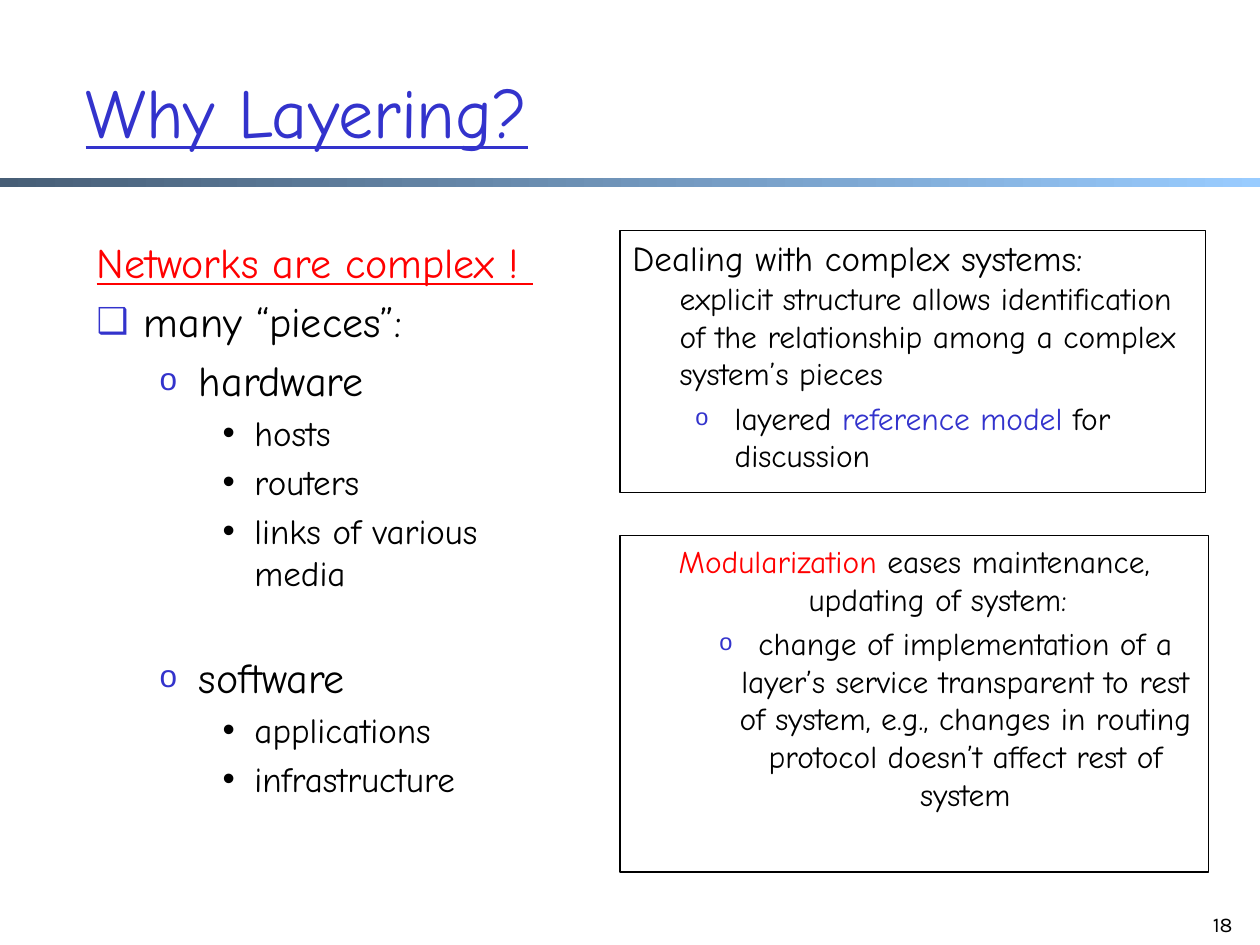
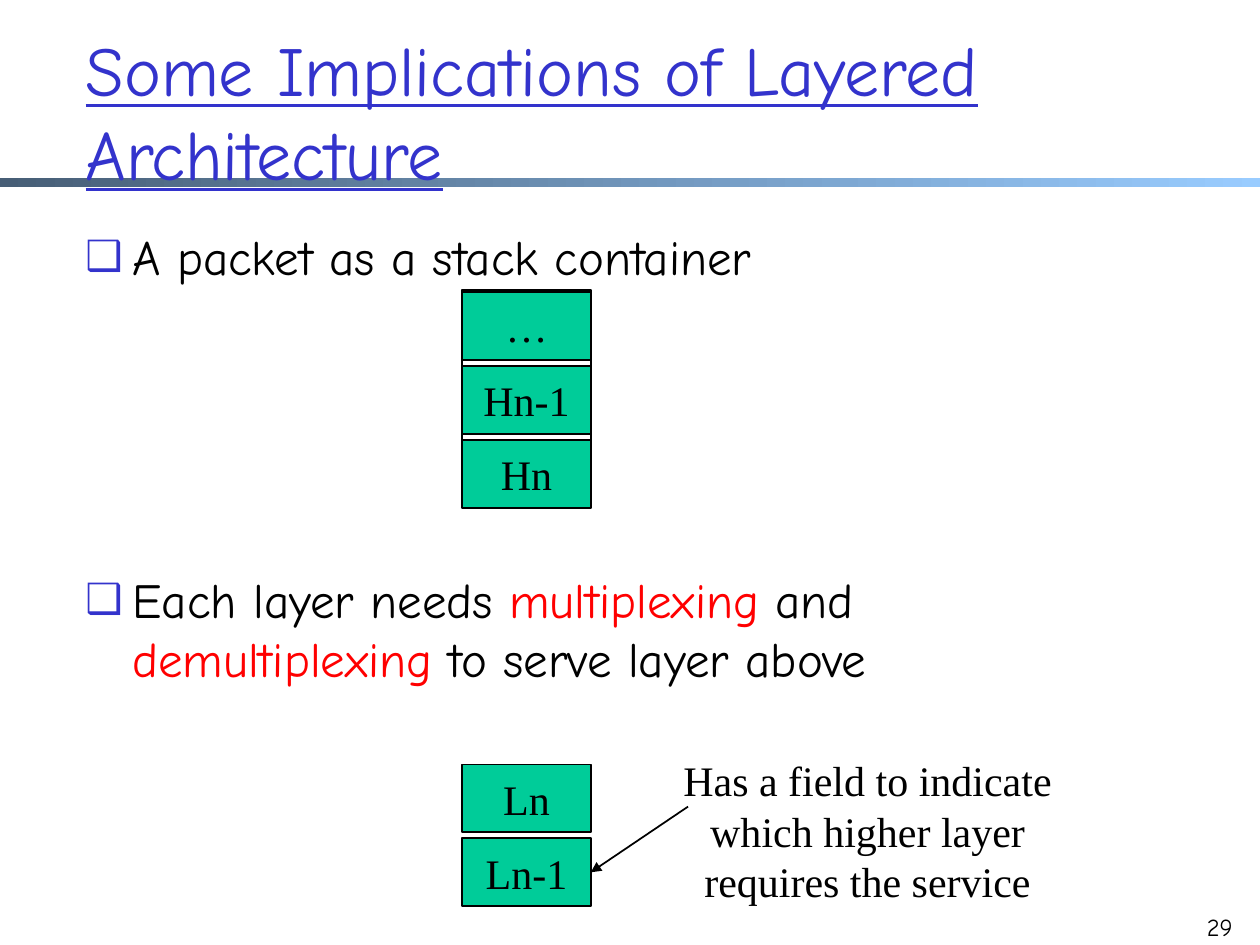
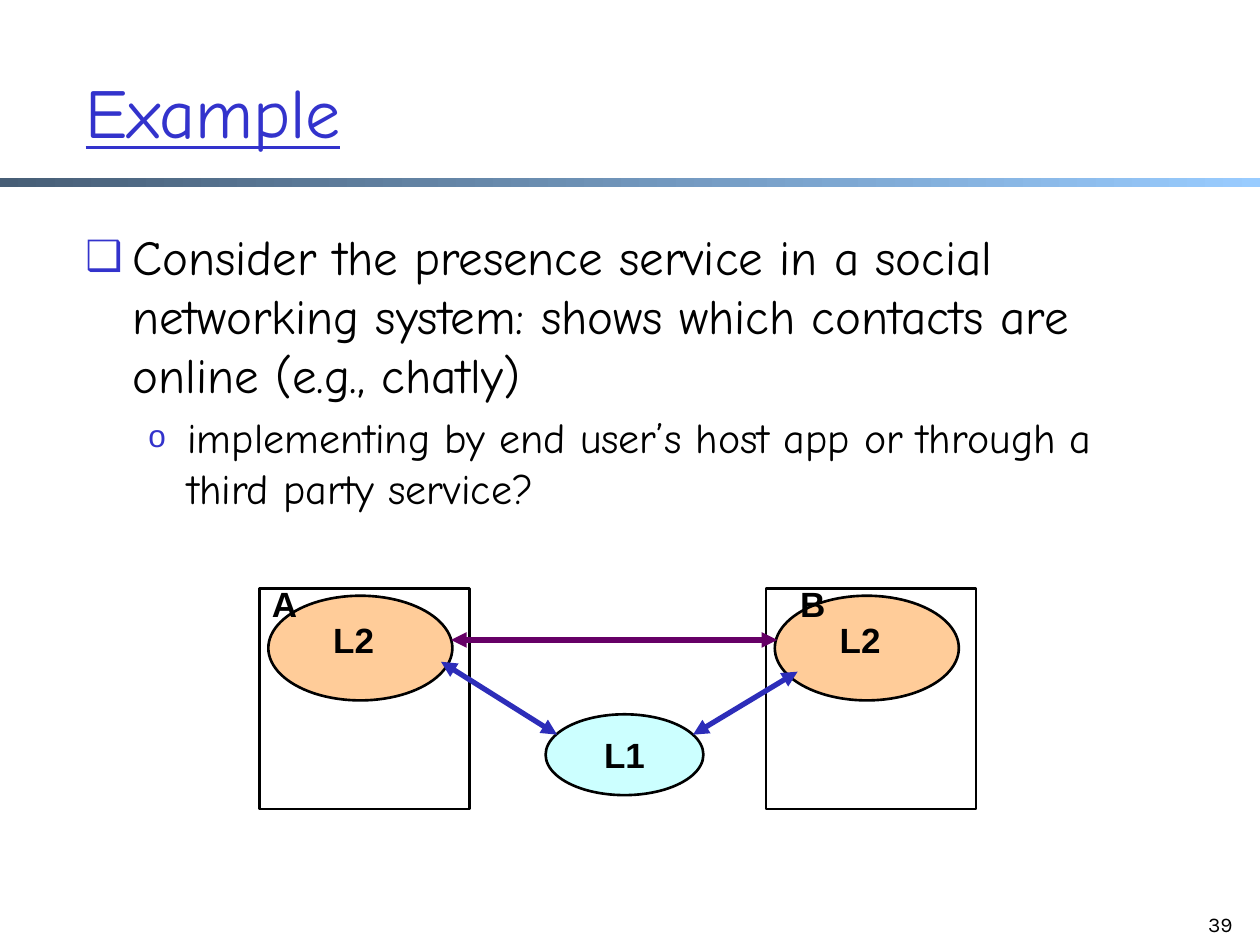
from dataclasses import dataclass

from lxml import etree
from pptx import Presentation
from pptx.dml.color import RGBColor
from pptx.enum import shapes, text
from pptx.oxml import ns
from pptx.util import Cm, Pt


@dataclass(frozen=True)
class Theme:
    """Colours, fonts and type sizes of the deck."""
    ink: str = "000000"
    blue: str = "3333CC"
    red: str = "FF0000"
    green: str = "00CC99"
    peach: str = "FFCC99"
    ice: str = "CCFFFF"
    navy: str = "2D2DB9"
    plum: str = "660066"
    dark: str = "475E76"
    sky: str = "99CCFF"
    hand: str = "Comic Neue"
    sans: str = "Arial"
    serif: str = "Times New Roman"
    page: str = "Karla"
    head: int = 40
    big: int = 28
    mid: int = 24
    low: int = 20
    fine: int = 18
    lead: float = 1.2
    gap: float = 0.2


T = Theme()
BOX = shapes.MSO_SHAPE.RECTANGLE
OVAL = shapes.MSO_SHAPE.OVAL
LEFT, MID, RIGHT = (text.PP_ALIGN.LEFT, text.PP_ALIGN.CENTER, text.PP_ALIGN.RIGHT)
LEVELS = {
    "plain": (0, 0.95, 0.95, None),
    "main": (0, 0.95, 0.95, ("❑", T.blue, 85)),
    "sub": (1, 2.06, 0.79, ("o", T.blue, 75)),
    "dot": (2, 3.18, 0.64, ("•", T.ink, 100)),
}


def rgb(code):
    """Turn a hex code into a colour."""
    return RGBColor.from_string(code)


def node(up, tag, **attrs):
    """Append a drawing element to a parent."""
    item = etree.SubElement(up, ns.qn("a:" + tag))
    for key, val in attrs.items():
        item.set(key, str(val))
    return item


def add_run(para, words, size, color=T.ink, font=T.hand, bold=False, line=False):
    """Add one styled run."""
    run = para.add_run()
    run.text = words
    face = run.font
    face.name, face.size, face.bold, face.underline = font, Pt(size), bold, line
    face.color.rgb = rgb(color)


def set_frame(shape, anchor=text.MSO_ANCHOR.TOP, wrap=True):
    """Set wrapping and anchor, and return the text frame."""
    frame = shape.text_frame
    frame.auto_size = text.MSO_AUTO_SIZE.NONE
    frame.word_wrap = wrap
    frame.vertical_anchor = anchor
    return frame


def add_item(frame, kind, size, *runs, align=LEFT, skip=0, line=False):
    """Add a list paragraph, with skip points of extra room above it."""
    first = not frame.paragraphs[0].runs
    para = frame.paragraphs[0] if first else frame.add_paragraph()
    level, left, hang, mark = LEVELS[kind]
    props = para._p.get_or_add_pPr()
    props.set("marL", str(Cm(left)))
    props.set("indent", str(-Cm(hang)))
    if mark:
        sign, color, part = mark
        node(node(props, "buClr"), "srgbClr", val=color)
        node(props, "buSzPct", val=part * 1000)
        node(props, "buFont", typeface=T.sans)
        node(props, "buChar", char=sign)
    else:
        node(props, "buNone")
    para.level = level
    para.alignment = align
    para.space_before = Pt(0 if first else round(size * T.gap + skip, 1))
    for run in runs:
        words, color, pt = (run + (T.ink, size)[len(run) - 1:])
        if words == "\n":
            para.add_line_break()
        else:
            add_run(para, words, pt, color, line=line)


def blank(size, count=1):
    """Give the height of some empty lines, in points."""
    return count * size * (T.lead + T.gap)


def add_box(slide, kind, at, fill=None, width=1.0):
    """Add an outlined preset shape."""
    shape = slide.shapes.add_shape(kind, *map(Cm, at))
    shape.shadow.inherit = False
    if fill:
        shape.fill.solid()
        shape.fill.fore_color.rgb = rgb(fill)
    else:
        shape.fill.background()
    shape.line.color.rgb = rgb(T.ink)
    shape.line.width = Pt(width)
    return shape


def put_word(shape, words, size, font, bold=False, wrap=True):
    """Centre a word in a shape."""
    frame = set_frame(shape, text.MSO_ANCHOR.MIDDLE, wrap)
    para = frame.paragraphs[0]
    para.alignment = MID
    add_run(para, words, size, font=font, bold=bold)


def add_text(slide, at):
    """Add a wrapping text box and return its frame."""
    return set_frame(slide.shapes.add_textbox(*map(Cm, at)))


def add_label(slide, words, at, size, font, bold=False, align=MID):
    """Add a one-paragraph label."""
    para = add_text(slide, at).paragraphs[0]
    para.alignment = align
    add_run(para, words, size, font=font, bold=bold)


def add_arrow(slide, start, end, color=T.ink, width=1.0, both=False):
    """Add a straight arrow with one or two heads."""
    link = slide.shapes.add_connector(
        shapes.MSO_CONNECTOR.STRAIGHT, *map(Cm, start + end))
    link.line.color.rgb = rgb(color)
    link.line.width = Pt(width)
    edge = link.line._get_or_add_ln()
    if both:
        node(edge, "headEnd", type="triangle")
    node(edge, "tailEnd", type="triangle")
    node(link._element.spPr, "effectLst")
    return link


def add_band(layout, slide):
    """Draw the gradient band and hand it to the layout."""
    band = slide.shapes.add_shape(BOX, *map(Cm, (0, 3.58, 25.4, 0.2)))
    band.shadow.inherit = False
    band.line.fill.background()
    band.fill.gradient()
    band.fill.gradient_angle = 0
    for stop, color, place in zip(band.fill.gradient_stops, (T.dark, T.sky), (0, 1)):
        stop.color.rgb = rgb(color)
        stop.position = place
    band._element.nvSpPr.cNvPr.set("id", "99")
    layout.shapes._spTree.append(band._element)


def add_slide(deck, title, number, font=T.page, size=12):
    """Add a slide with its title and page number."""
    slide = deck.slides.add_slide(deck.slide_layouts[5])
    head = slide.shapes.title
    head.left, head.top, head.width, head.height = map(Cm, (1.47, 0.64, 21.59, 3.18))
    para = set_frame(head, text.MSO_ANCHOR.MIDDLE).paragraphs[0]
    para.alignment = LEFT
    add_run(para, title, T.head, T.blue, line=True)
    add_label(slide, number, (23.83, 18.26, 1.27, 1.27), size, font, align=RIGHT)
    return slide


def add_body(slide):
    """Add the wide body text box."""
    return add_text(slide, (1.47, 4.45, 21.59, 12.9))


def show_why(deck):
    """Build the slide on the reasons for layering."""
    slide = add_slide(deck, "Why Layering?", "18")
    add_band(deck.slide_layouts[5], slide)

    deal = set_frame(add_box(slide, BOX, (12.5, 4.65, 11.81, 5.28), width=0.75))
    add_item(deal, "plain", T.fine,
             ("Dealing with complex systems:", T.ink, T.low), ("\n",),
             ("explicit structure allows identification of the relationship "
              "among a complex system’s pieces",))
    add_item(deal, "sub", T.fine, ("layered ",), ("reference model", T.blue),
             (" for discussion",))

    parts = add_text(slide, (1.7, 4.65, 9.96, 12.9))
    add_item(parts, "plain", T.mid, ("Networks are complex ! ", T.red), line=True)
    add_item(parts, "main", T.mid, ("many “pieces”:",))
    groups = (
        ("hardware", 0, ("hosts", "routers", "links of various media")),
        ("software", blank(T.low), ("applications", "infrastructure")),
    )
    for name, skip, dots in groups:
        add_item(parts, "sub", T.mid, (name,), skip=skip)
        for dot in dots:
            add_item(parts, "dot", T.low, (dot,))

    ease = set_frame(add_box(slide, BOX, (12.5, 10.8, 11.86, 6.78), width=0.75))
    add_item(ease, "plain", T.fine, ("Modularization", T.red),
             (" eases maintenance, updating of system:",), align=MID)
    add_item(ease, "sub", T.fine,
             ("change of implementation of a layer’s service transparent to rest "
              "of system, e.g., changes in routing protocol doesn’t affect rest "
              "of system",), align=MID)


def add_stack(slide, names, top):
    """Stack named cells downwards and return the last one."""
    for row, name in enumerate(names):
        cell = add_box(slide, BOX, (9.32, top + row * 1.49, 2.59, 1.37), T.green)
        put_word(cell, name, T.mid, T.serif)
    return cell


def show_stack(deck):
    """Build the slide on packets as stacks."""
    slide = add_slide(deck, "Some Implications of Layered Architecture", "29",
                      T.hand, 14)
    body = add_body(slide)
    add_item(body, "main", T.big, ("A packet as a stack container",))
    add_item(body, "main", T.big, ("Each layer needs ",), ("multiplexing ", T.red),
             ("and ",), ("demultiplexing", T.red), (" to serve layer above",),
             skip=blank(T.big, 4))
    add_box(slide, BOX, (9.32, 5.84, 2.59, 4.39))
    add_stack(slide, ("…", "Hn-1", "Hn"), 5.89)
    low = add_stack(slide, ("Ln", "Ln-1"), 15.41)
    add_label(slide, "Has a field to indicate which higher layer requires the service",
              (13.31, 15.09, 8.36, 3.33), T.mid, T.serif)
    add_arrow(slide, (13.87, 16.26), (11.91, 17.58)).end_connect(low, 3)


def show_case(deck):
    """Build the example slide with two hosts and a lower layer."""
    slide = add_slide(deck, "Example", "39")
    body = add_body(slide)
    add_item(body, "main", T.big,
             ("Consider the presence service in a social networking system: "
              "shows which contacts are online (e.g., chatly)",))
    add_item(body, "sub", T.mid,
             ("implementing by end user’s host app or through a third party "
              "service?",))
    for name, left, tag in (("A", 5.23, 4.95), ("B", 15.44, 15.6)):
        add_box(slide, OVAL, (left + 0.18, 12.01, 3.71, 2.11), T.peach, 1.5)
        add_box(slide, BOX, (left, 11.86, 4.24, 4.45), width=1.5)
        add_label(slide, "L2", (left + 0.82, 12.34, 2.16, 1.12), T.low, T.sans, True)
        add_label(slide, name, (tag, 11.61, 1.57, 1.12), T.low, T.sans, True)
    base = add_box(slide, OVAL, (11, 14.4, 3.18, 1.63), T.ice, 1.5)
    put_word(base, "L1", T.low, T.sans, True, wrap=False)
    links = (
        ((8.89, 13.34), (11.23, 14.81), T.navy),
        ((16.08, 13.54), (13.97, 14.81), T.navy),
        ((9.09, 12.9), (15.67, 12.9), T.plum),
    )
    for start, end, color in links:
        add_arrow(slide, start, end, color, 3, both=True)


def main():
    """Build and save the deck."""
    deck = Presentation()
    deck.slide_width, deck.slide_height = Cm(25.4), Cm(19.05)
    show_why(deck)
    show_stack(deck)
    show_case(deck)
    deck.save("out.pptx")


if __name__ == "__main__":
    main()
